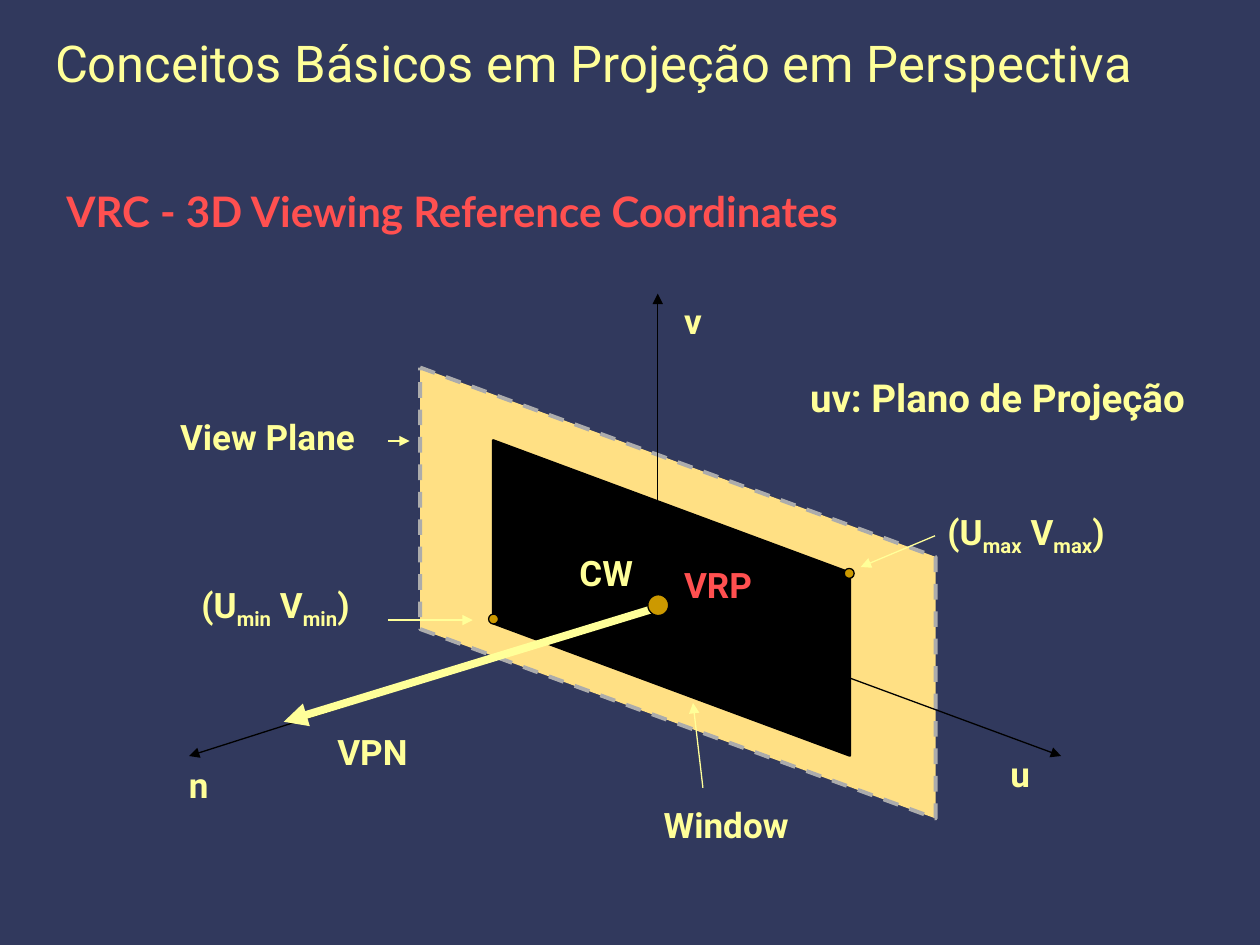
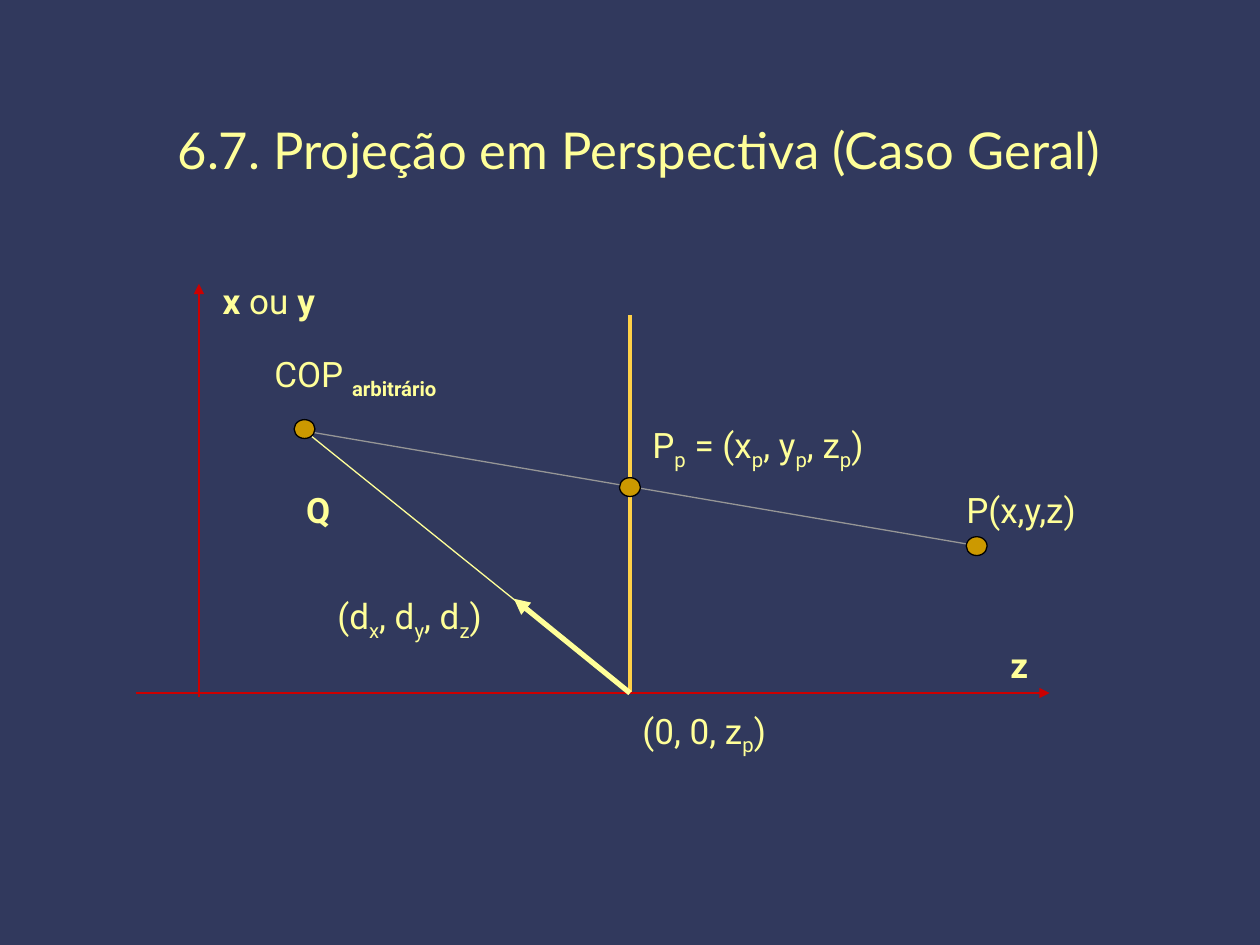
from lxml.etree import SubElement
from pptx import Presentation
from pptx.dml.color import RGBColor
from pptx.enum.dml import MSO_LINE
from pptx.enum.shapes import MSO_CONNECTOR, MSO_SHAPE
from pptx.enum.text import MSO_ANCHOR, MSO_AUTO_SIZE, PP_ALIGN
from pptx.oxml.ns import qn
from pptx.util import Cm, Pt

NAVY = RGBColor(0x31, 0x39, 0x5D)
CREAM = RGBColor(0xFF, 0xFF, 0x99)
CORAL = RGBColor(0xFF, 0x50, 0x50)
SAND = RGBColor(0xFF, 0xE0, 0x84)
GOLD = RGBColor(0xFF, 0xD1, 0x47)
OCHRE = RGBColor(0xCC, 0x99, 0x00)
RED = RGBColor(0xCC, 0x00, 0x00)
GREY = RGBColor(0x96, 0x96, 0x96)
SILVER = RGBColor(0xAC, 0xAC, 0xAC)
BLACK = RGBColor(0, 0, 0)

HEAD = {"name": "Roboto", "size": Pt(29), "bold": False}
CASE = {**HEAD, "name": "Lato"}
TOPIC = {"name": "Lato", "size": Pt(24), "bold": True}
PLAIN = {"name": "Roboto", "size": Pt(20), "bold": False}
BOLD = {**PLAIN, "bold": True}
LARGE = {**BOLD, "size": Pt(22)}

view = {
    "title": ("Conceitos Básicos em Projeção em Perspectiva",
              0.86, 0.53, 24.56, 1.45, HEAD, PP_ALIGN.LEFT),
    "planes": [
        (9.12, 6.76, 9.09, 10.39, SAND, SILVER, 2.25, MSO_LINE.DASH),
        (10.36, 8.46, 6.35, 7.19, BLACK, BLACK, 1.5, MSO_LINE.SOLID),
    ],
    "lines": [
        (13.13, 12.27, 3.81, 15.24, BLACK, 0.75, True),
        (13.34, 12.22, 5.72, 14.55, CREAM, 4.5, True),
        (13.26, 12.07, 13.26, 5.92, BLACK, 0.75, True),
        (13.34, 12.27, 21.39, 15.24, BLACK, 0.75, True),
        (7.82, 12.5, 9.53, 12.5, CREAM, 0.75, True),
        (18.85, 10.8, 17.35, 11.43, CREAM, 0.75, True),
        (14.17, 15.88, 13.97, 14.17, CREAM, 0.75, True),
        (7.82, 8.89, 8.26, 8.89, CREAM, 0.75, True),
    ],
    "dots": [
        (9.95, 12.48, 0.2, 0.2),
        (17.12, 11.56, 0.2, 0.2),
        (13.27, 12.2, 0.42, 0.42),
    ],
    "labels": [
        ("VRC - 3D Viewing Reference Coordinates", 1.09, 3.61, 20, TOPIC, CORAL),
        ("n", 3.56, 15.27, 0.97, BOLD, CREAM),
        ("VPN", 6.55, 14.61, 1.98, BOLD, CREAM),
        ("u", 20.12, 15.04, 0.97, BOLD, CREAM),
        ("v", 13.54, 5.92, 0.91, BOLD, CREAM),
        ("(U|_max| V|_max|)", 18.85, 10.16, 4.34, BOLD, CREAM),
        ("(U|_min| V|_min|)", 3.81, 11.63, 4.09, BOLD, CREAM),
        ("CW", 11.43, 11, 1.7, BOLD, CREAM),
        ("Window", 13.13, 16.08, 3.4, BOLD, CREAM),
        ("View Plane", 3.38, 8.26, 4.42, BOLD, CREAM),
        ("VRP", 13.54, 11.23, 1.96, BOLD, CORAL),
        ("uv: Plano de Projeção", 16.08, 7.42, 8.99, LARGE, CREAM),
    ],
}

case = {
    "title": ("6.7. Projeção em Perspectiva (Caso Geral)",
              0.89, 1.91, 24, 2.21, CASE, PP_ALIGN.CENTER),
    "planes": [],
    "lines": [
        (4.01, 14.05, 4.01, 5.72, RED, 0.75, True),
        (12.7, 13.97, 12.7, 6.35, GOLD, 2.25, False),
        (2.74, 13.97, 21.16, 13.97, RED, 0.75, True),
        (6.15, 8.69, 19.69, 11, GREY, 0.75, False),
        (6.15, 8.69, 12.7, 13.97, CREAM, 0.75, False),
        (12.7, 13.97, 10.36, 12.07, CREAM, 3, True),
    ],
    "dots": [
        (19.69, 11.01, 0.42, 0.38),
        (12.7, 9.82, 0.42, 0.38),
        (6.14, 8.65, 0.42, 0.38),
    ],
    "labels": [
        ("P(x,y,z)", 19.23, 9.73, 2.87, PLAIN, CREAM),
        ("COP |_*arbitrário", 5.28, 6.99, 4.22, PLAIN, CREAM),
        ("Q", 5.92, 9.73, 1.04, BOLD, CREAM),
        ("P|_p| = (x|_p|, y|_p|, z|_p|)", 12.9, 8.41, 5.28, PLAIN, CREAM),
        ("*x| ou|* y", 4.24, 5.51, 2.54, PLAIN, CREAM),
        ("z", 20.12, 12.85, 0.89, BOLD, CREAM),
        ("(d|_x|, d|_y|, d|_z|)", 6.55, 11.86, 3.73, PLAIN, CREAM),
        ("(0, 0, z|_p|)", 12.7, 14.17, 3.25, PLAIN, CREAM),
    ],
}


def write(para, text, style, color):
    for part in text.split("|"):
        run = para.add_run()
        run.text = part.strip("_*")
        for key, value in style.items():
            setattr(run.font, key, value)
        run.font.color.rgb = color
        if "*" in part:
            run.font.bold = True
        if "_" in part:
            run.font._element.set("baseline", "-25000")


def paint(shape, fill, edge, width):
    shape.shadow.inherit = False
    shape.fill.solid()
    shape.fill.fore_color.rgb = fill
    shape.line.color.rgb = edge
    shape.line.width = Pt(width)


deck = Presentation()
deck.slide_width, deck.slide_height = Cm(25.4), Cm(19.05)

for scene in (view, case):
    slide = deck.slides.add_slide(deck.slide_layouts[6])
    slide.background.fill.solid()
    slide.background.fill.fore_color.rgb = NAVY
    shapes = slide.shapes

    text, x, y, wide, high, style, align = scene["title"]
    frame = shapes.add_textbox(Cm(x), Cm(y), Cm(wide), Cm(high)).text_frame
    frame.word_wrap = True
    frame.vertical_anchor = MSO_ANCHOR.MIDDLE
    frame.paragraphs[0].alignment = align
    write(frame.paragraphs[0], text, style, CREAM)

    for x, y, wide, high, fill, edge, width, dash in scene["planes"]:
        plane = shapes.add_shape(MSO_SHAPE.PARALLELOGRAM, Cm(x), Cm(y), Cm(wide), Cm(high))
        plane.adjustments[0] = 0.42
        plane.rotation = 90
        paint(plane, fill, edge, width)
        plane.line.dash_style = dash

    for x, y, to_x, to_y, color, width, arrow in scene["lines"]:
        line = shapes.add_connector(MSO_CONNECTOR.STRAIGHT, Cm(x), Cm(y), Cm(to_x), Cm(to_y))
        line.line.color.rgb = color
        line.line.width = Pt(width)
        if arrow:
            SubElement(line.line._get_or_add_ln(), qn("a:tailEnd"), type="triangle")
        SubElement(line._element.spPr, qn("a:effectLst"))

    for x, y, wide, high in scene["dots"]:
        dot = shapes.add_shape(MSO_SHAPE.OVAL, Cm(x - wide / 2), Cm(y - high / 2), Cm(wide), Cm(high))
        paint(dot, OCHRE, BLACK, 0.75)

    for text, x, y, wide, style, color in scene["labels"]:
        frame = shapes.add_textbox(Cm(x), Cm(y), Cm(wide), Cm(1.09)).text_frame
        frame.word_wrap = style is TOPIC
        frame.auto_size = MSO_AUTO_SIZE.SHAPE_TO_FIT_TEXT
        write(frame.paragraphs[0], text, style, color)

deck.save("out.pptx")
